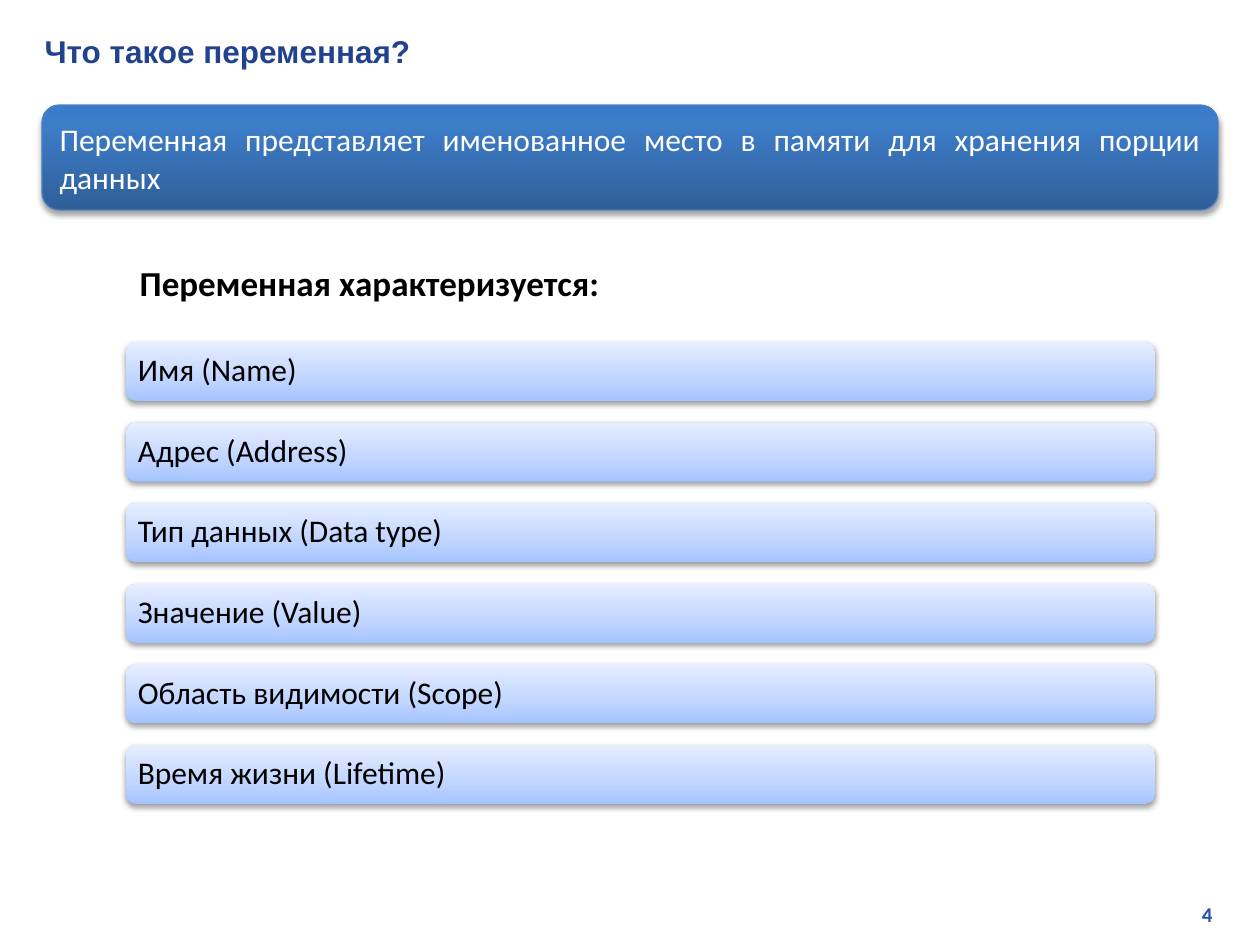
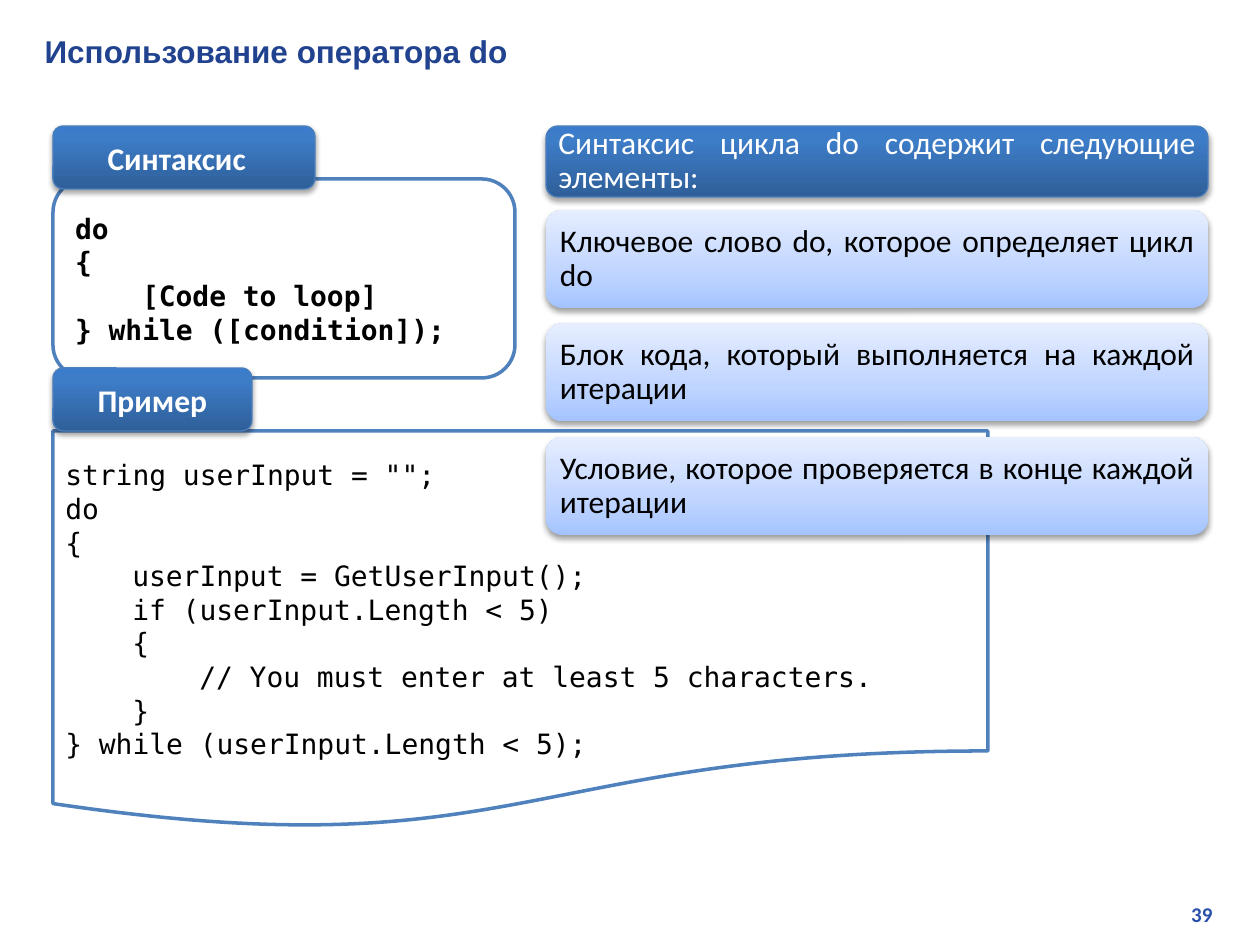
import copy

import pptx
import pptx.dml.color
import pptx.enum.shapes
import pptx.enum.text
import pptx.oxml
import pptx.oxml.ns
import pptx.util
from lxml import etree

SHAPE = pptx.enum.shapes.MSO_SHAPE
ALIGN = pptx.enum.text.PP_ALIGN
ANCHOR = pptx.enum.text.MSO_ANCHOR

COLORS = {
    "title": "21438F", "number": "2750AB", "white": "FFFFFF", "black": "000000",
    "frame": "4F81BD", "banner_edge": "4B7EBC",
    "banner_low": "2F5F99", "banner_mid": "3D7CC7", "banner_high": "3A7CCB",
    "card_low": "A4C4FF", "card_mid": "BFD4FF", "card_high": "E6EEFF",
}

BANNER_FILL = [(0, "banner_low"), (0.8, "banner_mid"), (1, "banner_high")]
CARD_FILL = [(0, "card_low"), (0.35, "card_mid"), (1, "card_high")]

SANS = {"name": "Calibri", "size": 18}
MONO = {"name": "DejaVu Sans Mono", "size": 16, "color": "black"}
BANNER_LOOK = {"fill": BANNER_FILL, "line": ("banner_edge", 0.75), "shadow": (35, 1.8)}
FRAME_LOOK = {"fill": "white", "line": ("frame", 2)}
JUSTIFIED = {"alignment": ALIGN.JUSTIFY}
TIGHT = {"alignment": ALIGN.JUSTIFY, "line_spacing": 0.9}
SNUG = {"margin_left": 9, "margin_right": 9, "margin_top": 9, "margin_bottom": 9}

STYLES = {
    "title": {"font": {"name": "Arial", "size": 18, "bold": True, "color": "title"},
              "paragraph": {"alignment": ALIGN.LEFT}},
    "number": {"font": {"name": "Calibri", "size": 12, "bold": True, "color": "number"},
               "paragraph": {"alignment": ALIGN.RIGHT}},
    "banner": {**BANNER_LOOK, "font": {**SANS, "color": "white"}, "paragraph": JUSTIFIED},
    "list_head": {**BANNER_LOOK, "font": {**SANS, "color": "white"},
                  "paragraph": TIGHT, "margins": SNUG},
    "tag": {**BANNER_LOOK, "font": {**SANS, "bold": True, "color": "white"},
            "paragraph": {"alignment": ALIGN.CENTER}},
    "heading": {"fill": "white",
                "font": {**SANS, "size": 20, "bold": True, "color": "black"},
                "paragraph": TIGHT, "margins": {**SNUG, "margin_left": 10}},
    "card": {"fill": CARD_FILL, "shadow": (38, 1.6), "font": {**SANS, "color": "black"},
             "paragraph": TIGHT, "margins": SNUG},
    "syntax": {**FRAME_LOOK, "font": {**MONO, "bold": True},
               "paragraph": {"alignment": ALIGN.LEFT}},
    "example": {**FRAME_LOOK, "shape": SHAPE.FLOWCHART_DOCUMENT, "font": MONO,
                "paragraph": {"alignment": ALIGN.LEFT},
                "anchor": ANCHOR.TOP, "margins": {"margin_top": 27}},
}
STYLES["shifted_tag"] = {**STYLES["tag"], "margins": {"margin_right": 27}}

SYNTAX = [(0, "do"), (0, "{"), (1, "[Code to loop]"), (0, "} while ([condition]);")]
EXAMPLE = [
    (0, 'string userInput = "";'),
    (0, "do"),
    (0, "{"),
    (1, "userInput = GetUserInput();"),
    (1, "if (userInput.Length < 5)"),
    (1, "{"),
    (2, "// You must enter at least 5 characters."),
    (1, "}"),
    (0, "} while (userInput.Length < 5);"),
]

SLIDES = [
    {
        "title": "Что такое переменная?",
        "number": "4",
        "blocks": [
            ("banner", (42, 105, 1176, 105),
             [(0, "Переменная представляет именованное место в памяти "
                  "для хранения порции данных")]),
            ("heading", (126, 247, 1029, 76), [(0, "Переменная характеризуется:")]),
        ],
        "cards": ["Имя (Name)", "Адрес (Address)", "Тип данных (Data type)",
                  "Значение (Value)", "Область видимости (Scope)",
                  "Время жизни (Lifetime)"],
        "cards_area": (126, 342, 1029, 462),
        "card_height": 59,
    },
    {
        "title": "Использование оператора do",
        "number": "39",
        "blocks": [
            ("syntax", (53, 179, 462, 199), SYNTAX),
            ("shifted_tag", (53, 126, 262, 63), [(0, "Cинтаксис")]),
            ("example", (53, 431, 935, 399), EXAMPLE),
            ("tag", (53, 368, 199, 63), [(0, "Пример")]),
            ("list_head", (546, 126, 662, 71),
             [(0, "Синтаксис цикла do содержит следующие элементы:")]),
        ],
        "cards": ["Ключевое слово do, которое определяет цикл do",
                  "Блок кода, который выполняется на каждой итерации",
                  "Условие, которое проверяется в конце каждой итерации"],
        "cards_area": (546, 210, 662, 325),
        "card_height": 98,
    },
]

SLIDE_SIZE = (1260, 945)
TITLE_BOX = (32, 25, 1202, 51)
NUMBER_BOX = (958, 895, 267, 38)
CODE_INDENT = 67
PX = 914400 / 126


def emu(px):
    return pptx.util.Emu(round(px * PX))


def rgb(color):
    return pptx.dml.color.RGBColor.from_string(COLORS[color])


def set_all(target, values):
    for key, value in values.items():
        setattr(target, key, value)


def write(frame, lines, style):
    set_all(frame, {"word_wrap": True, "auto_size": pptx.enum.text.MSO_AUTO_SIZE.NONE,
                    "vertical_anchor": style.get("anchor", ANCHOR.MIDDLE)})
    set_all(frame, {side: emu(px) for side, px in style.get("margins", {}).items()})
    for index, (depth, text) in enumerate(lines):
        paragraph = frame.add_paragraph() if index else frame.paragraphs[0]
        set_all(paragraph, style["paragraph"])
        if depth:
            paragraph._p.get_or_add_pPr().set("marL", str(emu(depth * CODE_INDENT)))
        run = paragraph.add_run()
        run.text = text
        font = dict(style["font"])
        run.font.color.rgb = rgb(font.pop("color"))
        set_all(run.font, {**font, "size": pptx.util.Pt(font["size"])})


def paint(shape, fill):
    if isinstance(fill, str):
        shape.fill.solid()
        shape.fill.fore_color.rgb = rgb(fill)
        return
    shape.fill.gradient()
    shape.fill.gradient_angle = 90
    stops = shape._element.spPr.find(".//" + pptx.oxml.ns.qn("a:gsLst"))
    stops.append(copy.deepcopy(stops[0]))
    for stop, (position, color) in zip(shape.fill.gradient_stops, fill):
        stop.position = position
        stop.color.rgb = rgb(color)


def cast_shadow(shape, opacity, distance):
    qn = pptx.oxml.ns.qn
    effects = shape._element.spPr.find(qn("a:effectLst"))
    shadow = etree.SubElement(effects, qn("a:outerShdw"), {
        "blurRad": str(pptx.util.Pt(3.1)), "dist": str(pptx.util.Pt(distance)),
        "dir": "5400000", "rotWithShape": "0"})
    color = etree.SubElement(shadow, qn("a:srgbClr"), val=COLORS["black"])
    etree.SubElement(color, qn("a:alpha"), val=str(opacity * 1000))


def add_block(slide, style_name, box, lines):
    style = STYLES[style_name]
    shape = slide.shapes.add_shape(style.get("shape", SHAPE.ROUNDED_RECTANGLE),
                                   *map(emu, box))
    paint(shape, style["fill"])
    if "line" in style:
        color, width = style["line"]
        shape.line.color.rgb = rgb(color)
        shape.line.width = pptx.util.Pt(width)
    else:
        shape.line.fill.background()
    shape.shadow.inherit = False
    if "shadow" in style:
        cast_shadow(shape, *style["shadow"])
    write(shape.text_frame, lines, style)


def add_cards(slide, cards, area, height):
    left, top, width, total = area
    step = (total - height) / (len(cards) - 1)
    for index, card in enumerate(cards):
        add_block(slide, "card", (left, top + index * step, width, height), [(0, card)])


def add_slide(deck, content):
    slide = deck.slides.add_slide(deck.slide_layouts[5])
    title = slide.shapes.title
    set_all(title, dict(zip(("left", "top", "width", "height"), map(emu, TITLE_BOX))))
    write(title.text_frame, [(0, content["title"])], STYLES["title"])
    number = slide.shapes.add_textbox(*map(emu, NUMBER_BOX))
    write(number.text_frame, [(0, content["number"])], STYLES["number"])
    for style_name, box, lines in content["blocks"]:
        add_block(slide, style_name, box, lines)
    add_cards(slide, content["cards"], content["cards_area"], content["card_height"])


def main():
    deck = pptx.Presentation()
    deck.slide_width, deck.slide_height = map(emu, SLIDE_SIZE)
    for content in SLIDES:
        add_slide(deck, content)
    deck.save("out.pptx")


if __name__ == "__main__":
    main()
